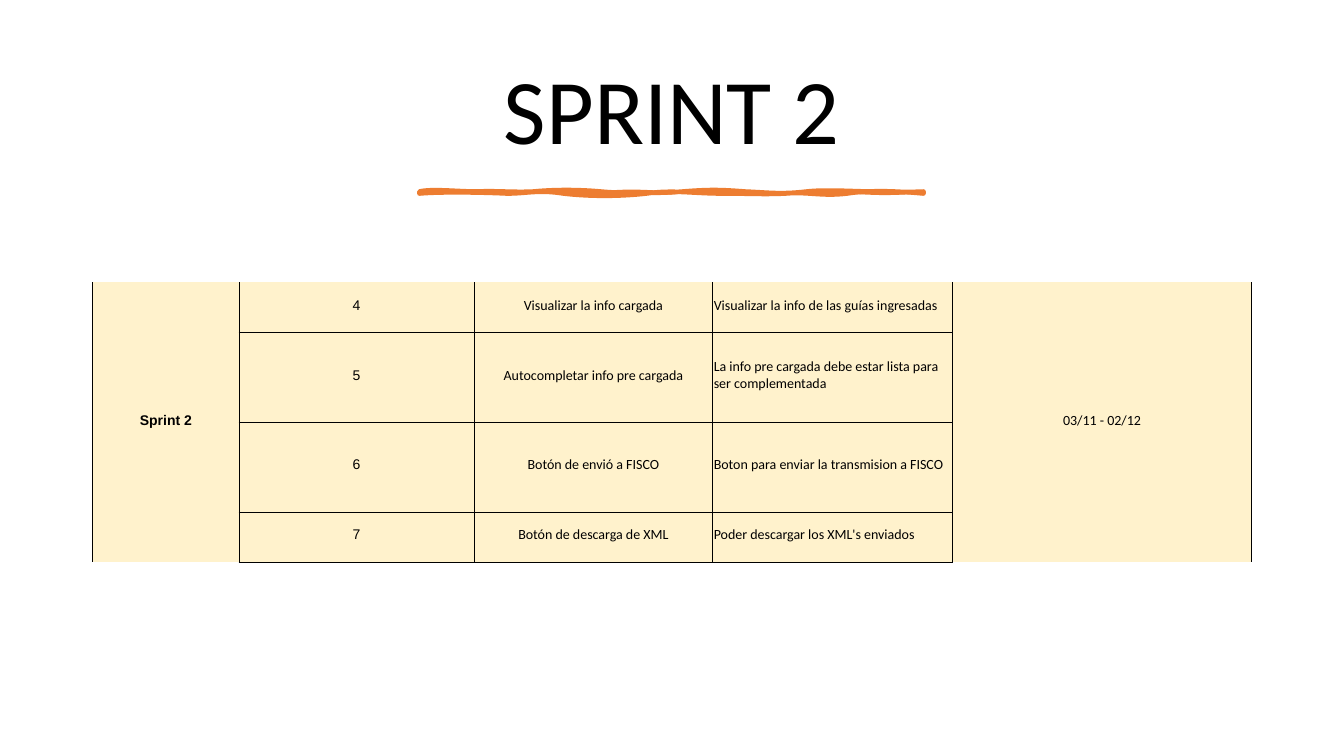
from dataclasses import dataclass
from lxml.etree import SubElement
from pptx import Presentation
from pptx.dml.color import RGBColor
from pptx.enum.text import MSO_ANCHOR, MSO_AUTO_SIZE, PP_ALIGN
from pptx.oxml.ns import qn
from pptx.util import Inches, Pt


@dataclass(frozen=True)
class Theme:
    ink: RGBColor = RGBColor(0x00, 0x00, 0x00)
    accent: RGBColor = RGBColor(0xED, 0x7D, 0x31)
    cell: RGBColor = RGBColor(0xFF, 0xF2, 0xCC)
    title_font: str = "Calibri"
    label_font: str = "Arial"
    title_size: Pt = Pt(66)
    cell_size: Pt = Pt(10)
    stroke: Pt = Pt(3.25)


theme = Theme()


def add_point(parent, x, y):
    SubElement(
        parent, qn("a:pt"),
        x=str(Inches(x) - Inches(brush_start[0])), y=str(Inches(y) - Inches(brush_start[1])),
    )


def add_border(cell, side, width):
    properties = cell._tc.get_or_add_tcPr()
    border = SubElement(properties, qn(f"a:ln{side}"), w=str(Pt(width)))
    if width:
        fill = SubElement(border, qn("a:solidFill"))
        SubElement(fill, qn("a:srgbClr"), val=str(theme.ink))
    else:
        SubElement(border, qn("a:noFill"))


presentation = Presentation()
presentation.slide_width = Inches(13.33)
presentation.slide_height = Inches(7.5)
slide = presentation.slides.add_slide(presentation.slide_layouts[5])

title = slide.shapes.title
title.left, title.top = Inches(0.7), Inches(0.45)
title.width, title.height = Inches(11.93), Inches(1.37)
title.text_frame.text = "SPRINT 2"
title.text_frame.auto_size = MSO_AUTO_SIZE.NONE
title.text_frame.vertical_anchor = MSO_ANCHOR.MIDDLE
paragraph = title.text_frame.paragraphs[0]
paragraph.alignment = PP_ALIGN.CENTER
paragraph.line_spacing = 0.9
font = paragraph.runs[0].font
font.name, font.size = theme.title_font, theme.title_size
font.color.rgb = theme.ink

brush_start = (4.16, 1.9)
outline_curves = [
    ((4.28, 1.87), (4.54, 1.9), (4.73, 1.9)),
    ((4.92, 1.89), (5.09, 1.91), (5.29, 1.9)),
    ((5.49, 1.88), (5.74, 1.88), (5.96, 1.9)),
    ((6.17, 1.92), (6.53, 1.92), (6.77, 1.9)),
    ((7.02, 1.88), (7.14, 1.88), (7.39, 1.9)),
    ((7.63, 1.91), (7.74, 1.93), (8, 1.9)),
    ((8.26, 1.87), (8.67, 1.92), (9.16, 1.9)),
    ((9.17, 1.91), (9.16, 1.91), (9.16, 1.92)),
    ((8.95, 1.9), (8.65, 1.88), (8.4, 1.92)),
    ((8.15, 1.95), (8.01, 1.9), (7.79, 1.92)),
    ((7.56, 1.93), (7.47, 1.92), (7.17, 1.92)),
    ((6.87, 1.92), (6.67, 1.88), (6.41, 1.92)),
    ((6.14, 1.95), (5.85, 1.95), (5.59, 1.92)),
    ((5.34, 1.88), (5.23, 1.92), (5.03, 1.92)),
    ((4.83, 1.91), (4.38, 1.9), (4.16, 1.92)),
    ((4.16, 1.91), (4.16, 1.9), (4.16, 1.9)),
]
fill_curves = [
    ((4.32, 1.89), (4.52, 1.88), (4.78, 1.9)),
    ((5.03, 1.91), (5.08, 1.92), (5.34, 1.9)),
    ((5.6, 1.88), (5.74, 1.92), (5.96, 1.9)),
    ((6.18, 1.87), (6.39, 1.88), (6.67, 1.9)),
    ((6.95, 1.91), (7.24, 1.87), (7.44, 1.9)),
    ((7.63, 1.92), (8.02, 1.88), (8.25, 1.9)),
    ((8.48, 1.91), (8.72, 1.93), (9.16, 1.9)),
    ((9.16, 1.9), (9.16, 1.91), (9.16, 1.92)),
    ((8.79, 1.94), (8.76, 1.94), (8.4, 1.92)),
    ((8.04, 1.89), (7.96, 1.91), (7.59, 1.92)),
    ((7.21, 1.92), (7.16, 1.88), (6.77, 1.92)),
    ((6.39, 1.96), (6.37, 1.9), (6.21, 1.92)),
    ((6.04, 1.93), (5.72, 1.93), (5.44, 1.92)),
    ((5.17, 1.9), (5.04, 1.91), (4.78, 1.92)),
    ((4.52, 1.92), (4.41, 1.89), (4.16, 1.92)),
    ((4.16, 1.91), (4.16, 1.9), (4.16, 1.9)),
]
builder = slide.shapes.build_freeform(*[Inches(value) for value in brush_start])
builder.add_line_segments([(Inches(x), Inches(y)) for *_, (x, y) in outline_curves])
brush = builder.convert_to_shape()
outlines = brush._element.spPr.find(qn("a:custGeom")).find(qn("a:pathLst"))
outlines.clear()
for hidden_part, curves in (({"fill": "none"}, outline_curves), ({"stroke": "0"}, fill_curves)):
    outline = SubElement(
        outlines, qn("a:path"), w=str(brush.width), h=str(brush.height), **hidden_part
    )
    add_point(SubElement(outline, qn("a:moveTo")), *brush_start)
    for curve in curves:
        segment = SubElement(outline, qn("a:cubicBezTo"))
        for point in curve:
            add_point(segment, *point)
    SubElement(outline, qn("a:close"))
brush.shadow.inherit = False
brush.fill.solid()
brush.fill.fore_color.rgb = theme.accent
brush.line.color.rgb = theme.accent
brush.line.width = theme.stroke

rows = [
    ("Sprint 2", "4", "Visualizar la info cargada", "Visualizar la info de las guías ingresadas", "03/11 - 02/12"),
    ("", "5", "Autocompletar info pre cargada", "La info pre cargada debe estar lista para ser complementada", ""),
    ("", "6", "Botón de envió a FISCO", "Boton para enviar la transmision a FISCO", ""),
    ("", "7", "Botón de descarga de XML", "Poder descargar los XML's enviados", ""),
]
column_widths = (1.45, 2.33, 2.37, 2.38, 2.96)
row_heights = (0.5, 0.89, 0.89, 0.5)
last_row, last_column = len(rows) - 1, len(column_widths) - 1

frame = slide.shapes.add_table(
    len(rows), len(column_widths), Inches(0.92), Inches(2.8),
    Inches(sum(column_widths)), Inches(sum(row_heights)),
)
table = frame.table
table.first_row = table.horz_banding = False
table._tbl.tblPr.find(qn("a:tableStyleId")).text = "{2D5ABB26-0587-4C30-8999-92F81FD0307C}"
for column, width in zip(table.columns, column_widths):
    column.width = Inches(width)
for row, height in zip(table.rows, row_heights):
    row.height = Inches(height)
for column_index in (0, last_column):
    table.cell(0, column_index).merge(table.cell(last_row, column_index))

for row_index, texts in enumerate(rows):
    for column_index, text in enumerate(texts):
        cell = table.cell(row_index, column_index)
        merged = column_index in (0, last_column)
        add_border(cell, "L", 1 if column_index == 0 else 0.5)
        add_border(cell, "R", 1 if column_index == last_column else 0.5)
        add_border(cell, "T", 0 if merged or row_index == 0 else 0.5)
        add_border(cell, "B", 0 if merged else 1 if row_index == last_row else 0.5)
        cell.fill.solid()
        cell.fill.fore_color.rgb = theme.cell
        cell.margin_left = cell.margin_right = cell.margin_top = Inches(0.01)
        cell.margin_bottom = Inches(0.05)
        cell.vertical_anchor = MSO_ANCHOR.MIDDLE
        if not text:
            continue
        cell.text_frame.text = text
        paragraph = cell.text_frame.paragraphs[0]
        paragraph.alignment = PP_ALIGN.LEFT if column_index == 3 else PP_ALIGN.CENTER
        font = paragraph.runs[0].font
        font.name = theme.label_font if column_index < 2 else theme.title_font
        font.size = theme.cell_size
        font.bold = column_index == 0
        font.color.rgb = theme.ink

presentation.save("out.pptx")
